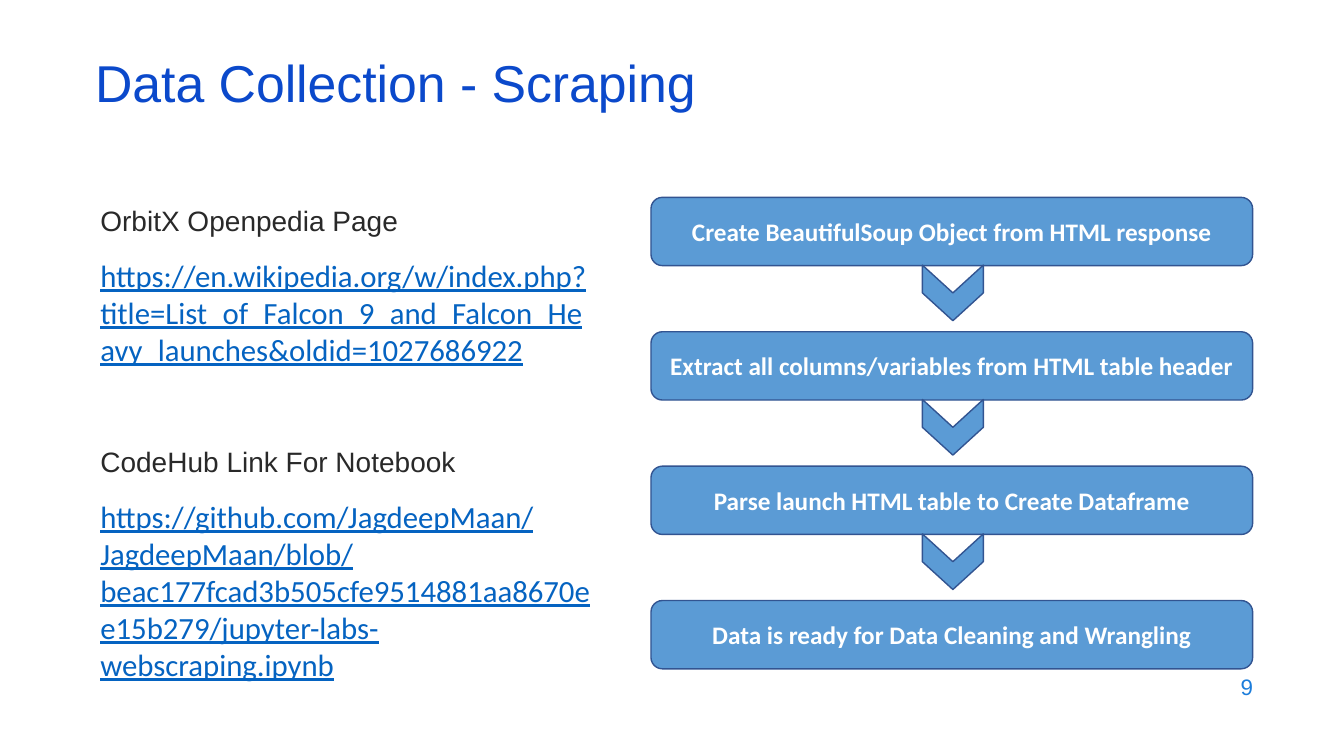
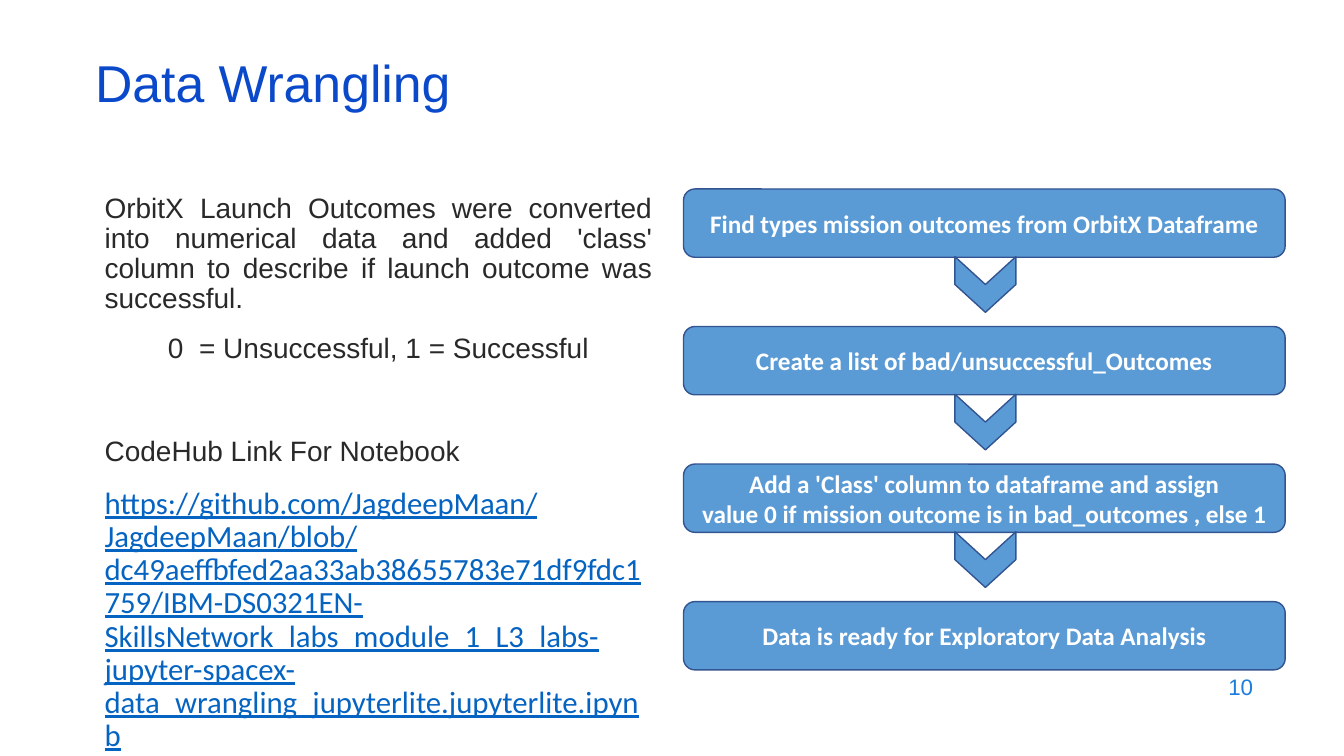
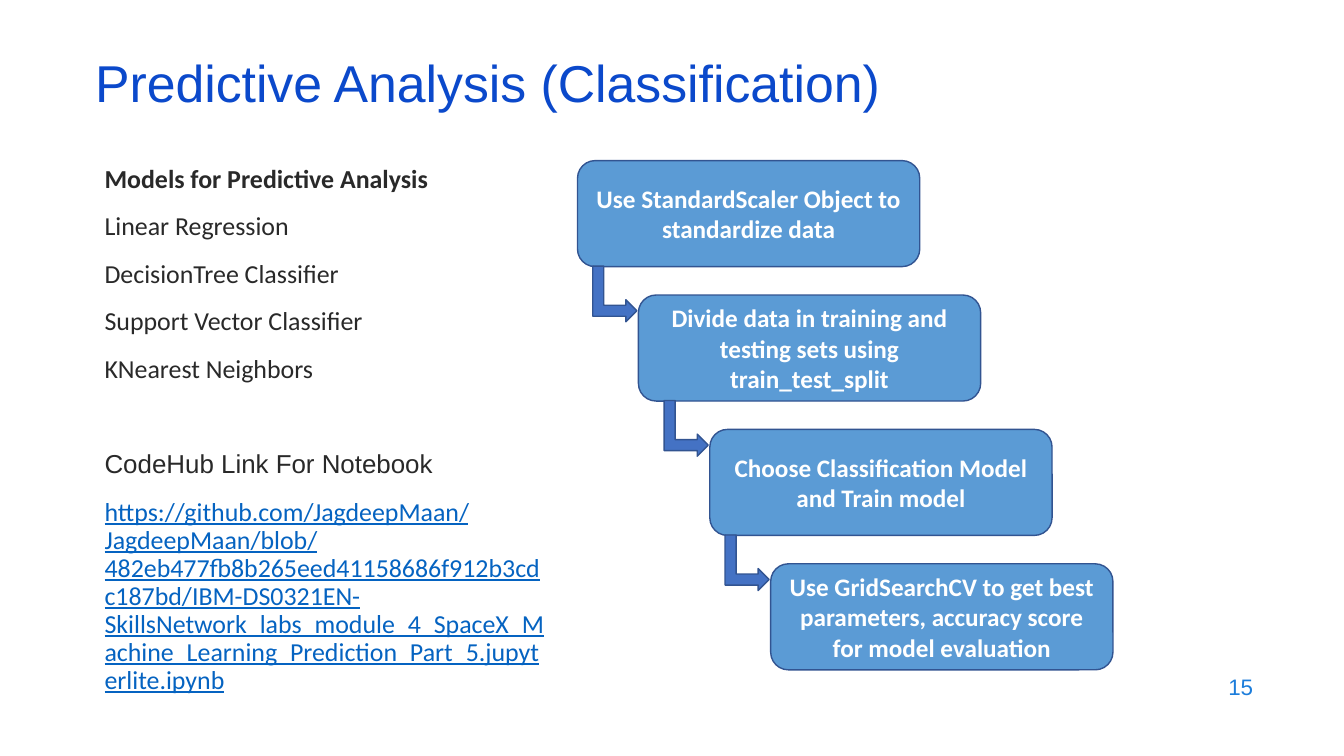
from dataclasses import dataclass, replace
from itertools import pairwise

from pptx import Presentation
from pptx.dml.color import RGBColor
from pptx.enum.shapes import MSO_SHAPE
from pptx.enum.text import MSO_ANCHOR, MSO_AUTO_SIZE, PP_ALIGN
from pptx.oxml.ns import qn
from pptx.util import Pt

PX = 9525


@dataclass(frozen=True)
class TextStyle:
    font: str
    size: float
    color: str
    bold: bool = False
    underline: bool = False
    align: PP_ALIGN = PP_ALIGN.LEFT


@dataclass(frozen=True)
class Theme:
    title: TextStyle = TextStyle("Arial", 37, "0B49CB")
    page: TextStyle = TextStyle("Arial", 16, "1C7DDB", align=PP_ALIGN.RIGHT)
    step: TextStyle = TextStyle("Calibri", 18, "FFFFFF", bold=True, align=PP_ALIGN.CENTER)
    heading: TextStyle = TextStyle("Arial", 20, "292929")
    link: TextStyle = TextStyle("Calibri", 22, "0563C1", underline=True)
    model: TextStyle = TextStyle("Calibri", 18.5, "292929", align=PP_ALIGN.JUSTIFY)
    step_fill: str = "5B9BD5"
    bend_fill: str = "4472C4"
    outline: str = "325491"
    paragraph_gap: int = 14


class Deck:
    def __init__(self, theme):
        self.theme = theme
        self.presentation = Presentation()
        self.presentation.slide_width = 1280 * PX
        self.presentation.slide_height = 720 * PX
        self.slide = None

    def place(self, shape, left, top, width, height):
        shape.left, shape.top = left * PX, top * PX
        shape.width, shape.height = width * PX, height * PX

    def apply_style(self, paragraph, style):
        paragraph.alignment = style.align
        for run in paragraph.runs:
            font = run.font
            font.name, font.size = style.font, Pt(style.size)
            font.bold, font.underline = style.bold, style.underline
            font.color.rgb = RGBColor.from_string(style.color)

    def label(self, shape, text, style):
        frame = shape.text_frame
        frame.text = text
        frame.word_wrap = True
        frame.auto_size = MSO_AUTO_SIZE.NONE
        frame.vertical_anchor = MSO_ANCHOR.MIDDLE
        for paragraph in frame.paragraphs:
            self.apply_style(paragraph, style)

    def start(self, title, page):
        self.slide = self.presentation.slides.add_slide(self.presentation.slide_layouts[1])
        heading = self.slide.shapes.title
        self.place(heading, 81, 56, 1104, 58)
        self.label(heading, title, self.theme.title)
        heading.text_frame.paragraphs[0].line_spacing = 0.7
        number = self.slide.shapes.add_textbox(0, 0, 0, 0)
        self.place(number, 915, 633, 288, 42)
        self.label(number, str(page), self.theme.page)

    def body(self, area, entries, spacing=1.0, section_gap=55):
        body = self.slide.placeholders[1]
        self.place(body, *area)
        frame = body.text_frame
        frame.text = "\n".join(text for text, *_ in entries)
        frame.word_wrap = True
        frame.auto_size = MSO_AUTO_SIZE.NONE
        frame.vertical_anchor = MSO_ANCHOR.TOP
        for index, (paragraph, (_, style, *section)) in enumerate(zip(frame.paragraphs, entries)):
            gap = section_gap if section else self.theme.paragraph_gap
            properties = paragraph._p.get_or_add_pPr()
            properties.set("marL", "0")
            properties.set("indent", "0")
            properties.append(properties.makeelement(qn("a:buNone"), {}))
            paragraph.line_spacing = spacing
            paragraph.space_before = Pt(gap if index else 0)
            self.apply_style(paragraph, style)

    def block(self, kind, area, fill, rotation=0):
        block = self.slide.shapes.add_shape(kind, 0, 0, 0, 0)
        self.place(block, *area)
        block.rotation = rotation
        block.shadow.inherit = False
        block.fill.solid()
        block.fill.fore_color.rgb = RGBColor.from_string(fill)
        block.line.color.rgb = RGBColor.from_string(self.theme.outline)
        block.line.width = Pt(1)
        return block

    def step(self, text, *area):
        box = self.block(MSO_SHAPE.ROUNDED_RECTANGLE, area, self.theme.step_fill)
        self.label(box, text, self.theme.step)

    def column(self, left, top, pitch, steps):
        tops = [top + pitch * index for index in range(len(steps))]
        for text, step_top in zip(steps, tops):
            self.step(text, left, step_top, 573, 65)
        for step_top in tops[:-1]:
            chevron = (left + 261, step_top + 62, 53, 58)
            self.block(MSO_SHAPE.CHEVRON, chevron, self.theme.step_fill, 90)

    def staircase(self, top, pitch, stairs):
        corners = [(left, top + pitch * index) for index, (left, _) in enumerate(stairs)]
        for (left, step_top), (_, text) in zip(corners, stairs):
            self.step(text, left, step_top, 326, 101)
        for _, (next_left, next_top) in pairwise(corners):
            bend = (next_left - 49, next_top - 22, 53, 42)
            self.block(MSO_SHAPE.BENT_UP_ARROW, bend, self.theme.bend_fill, 90)


def main():
    theme = Theme()
    deck = Deck(theme)
    notebook = "CodeHub Link For Notebook"
    repository = "https://github.com/JagdeepMaan/JagdeepMaan/blob/"
    justified = replace(theme.heading, align=PP_ALIGN.JUSTIFY)
    justified_link = replace(theme.link, align=PP_ALIGN.JUSTIFY)

    deck.start("Data Collection - Scraping", 9)
    deck.body((86, 189, 487, 444), [
        ("OrbitX Openpedia Page", theme.heading),
        ("https://en.wikipedia.org/w/index.php?title=List_of_Falcon_9_and_Falcon_Heavy_launches"
         "&oldid=1027686922", theme.link),
        (notebook, theme.heading, True),
        (repository + "beac177fcad3b505cfe9514881aa8670ee15b279/jupyter-labs-webscraping.ipynb",
         theme.link),
    ])
    deck.column(620, 188, 128, [
        "Create BeautifulSoup Object from HTML response",
        "Extract all columns/variables from HTML table header",
        "Parse launch HTML table to Create Dataframe",
        "Data is ready for Data Cleaning and Wrangling",
    ])

    deck.start("Data Wrangling", 10)
    deck.body((90, 180, 541, 501), [
        ("OrbitX Launch Outcomes were converted into numerical data and added 'class' column "
         "to describe if launch outcome was successful.", justified),
        ("0  = Unsuccessful, 1 = Successful", replace(theme.heading, align=PP_ALIGN.CENTER)),
        (notebook, justified, True),
        (repository + "dc49aeffbfed2aa33ab38655783e71df9fdc1759/IBM-DS0321EN-SkillsNetwork_labs_"
         "module_1_L3_labs-jupyter-spacex-data_wrangling_jupyterlite.jupyterlite.ipynb",
         justified_link),
    ], spacing=0.9, section_gap=52)
    deck.column(651, 180, 131, [
        "Find types mission outcomes from OrbitX Dataframe",
        "Create a list of bad/unsuccessful_Outcomes",
        "Add a 'Class' column to dataframe and assign\n"
        "value 0 if mission outcome is in bad_outcomes , else 1",
        "Data is ready for Exploratory Data Analysis",
    ])

    deck.start("Predictive Analysis (Classification)", 15)
    deck.body((90, 153, 442, 528), [
        ("Models for Predictive Analysis", replace(theme.model, bold=True)),
        ("Linear Regression", theme.model),
        ("DecisionTree Classifier", theme.model),
        ("Support Vector Classifier", theme.model),
        ("KNearest Neighbors", theme.model),
        (notebook, replace(justified, size=theme.model.size), True),
        (repository + "482eb477fb8b265eed41158686f912b3cdc187bd/IBM-DS0321EN-SkillsNetwork_labs_"
         "module_4_SpaceX_Machine_Learning_Prediction_Part_5.jupyterlite.ipynb",
         replace(justified_link, size=theme.model.size)),
    ], spacing=0.9, section_gap=48)
    deck.staircase(153, 128, [
        (550, "Use StandardScaler Object to standardize data"),
        (608, "Divide data in training and testing sets using train_test_split"),
        (676, "Choose Classification Model and Train model"),
        (734, "Use GridSearchCV to get best parameters, accuracy score for model evaluation"),
    ])

    deck.presentation.save("out.pptx")


if __name__ == "__main__":
    main()
